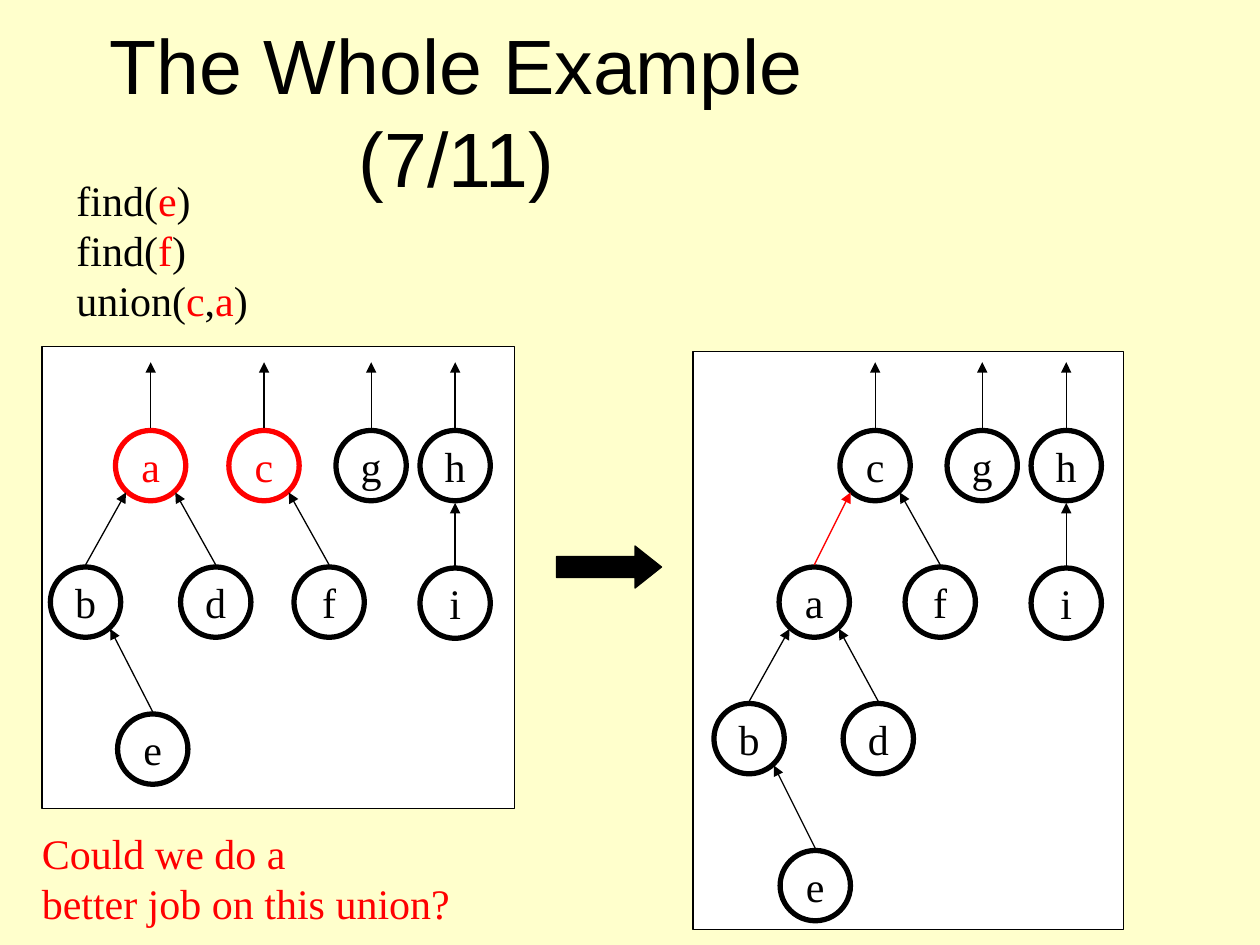
import pptx
import pptx.util
import pptx.dml.color
import pptx.enum.shapes
import pptx.enum.text
import pptx.oxml.ns
import lxml.etree

presentation = pptx.Presentation()
presentation.slide_width = pptx.util.Inches(10)
presentation.slide_height = pptx.util.Inches(7.5)
slide = presentation.slides.add_slide(presentation.slide_layouts[5])

# Grid of 120 columns by 90 rows
COLUMN = presentation.slide_width / 120
ROW = presentation.slide_height / 90
BLACK, RED, WHITE, CREAM = "000000", "FF0000", "FFFFFF", "FFFFCC"
NODE_SIZE = 6.7
color = pptx.dml.color.RGBColor.from_string
SHAPES = pptx.enum.shapes.MSO_SHAPE
CENTER = pptx.enum.text.PP_ALIGN.CENTER
MIDDLE = pptx.enum.text.MSO_ANCHOR.MIDDLE
AUTO_SIZE = pptx.enum.text.MSO_AUTO_SIZE


def place(*grid):
    """Turn alternating columns and rows into slide lengths."""
    return [round(value * (ROW if index % 2 else COLUMN)) for index, value in enumerate(grid)]


def add_run(paragraph, text, text_color, name="Times New Roman", size=24):
    run = paragraph.add_run()
    run.text = text
    font_format = {"name": name, "size": pptx.util.Pt(size)}
    for attribute, value in font_format.items():
        setattr(run.font, attribute, value)
    run.font.color.rgb = color(text_color)


slide.background.fill.solid()
slide.background.fill.fore_color.rgb = color(CREAM)

# Title
title = slide.shapes.title
for attribute, value in zip(("left", "top", "width", "height"), place(1, 3, 85, 15)):
    setattr(title, attribute, value)
title_format = {"vertical_anchor": MIDDLE, "word_wrap": True, "auto_size": AUTO_SIZE.NONE}
for attribute, value in title_format.items():
    setattr(title.text_frame, attribute, value)
title.text_frame.paragraphs[0].alignment = CENTER
add_run(title.text_frame.paragraphs[0], "The Whole Example (7/11)", BLACK, "Arial", 44)

# Operations and closing question
text_blocks = [
    ((6.1, 16, 18.7, 15.6), [
        [("find(", BLACK), ("e", RED), (")", BLACK)],
        [("find(", BLACK), ("f", RED), (")", BLACK)],
        [("union(", BLACK), ("c", RED), (",", BLACK), ("a", RED), (")", BLACK)],
    ]),
    ((2.8, 78.2, 41.3, 10.8), [
        [("Could we do a", RED)],
        [("better job on this union?", RED)],
    ]),
]
for grid, lines in text_blocks:
    text_frame = slide.shapes.add_textbox(*place(*grid)).text_frame
    text_frame.word_wrap = False
    text_frame.auto_size = AUTO_SIZE.SHAPE_TO_FIT_TEXT
    for index, line in enumerate(lines):
        paragraph = text_frame.add_paragraph() if index else text_frame.paragraphs[0]
        for text, text_color in line:
            add_run(paragraph, text, text_color)

# Panels and the arrow between them
for kind, grid, fill_color in [
    (SHAPES.RECTANGLE, (4, 33, 45, 44), WHITE),
    (SHAPES.RIGHT_ARROW, (53, 52, 10, 4), BLACK),
    (SHAPES.RECTANGLE, (66, 33.5, 41, 55), WHITE),
]:
    shape = slide.shapes.add_shape(kind, *place(*grid))
    shape.shadow.inherit = False
    shape.fill.solid()
    shape.fill.fore_color.rgb = color(fill_color)
    shape.line.color.rgb = color(BLACK)
    shape.line.width = pptx.util.Pt(0.75)
    if kind == SHAPES.RIGHT_ARROW:
        shape.adjustments[1] = 0.63

# Forests: node -> (column, row, parent, node colour, link colour)
before_union = {
    "a": (11, 41, None, RED, BLACK),
    "c": (21.8, 41, None, RED, BLACK),
    "g": (32, 41, None, BLACK, BLACK),
    "h": (40, 41, None, BLACK, BLACK),
    "b": (4.8, 54, "a", BLACK, BLACK),
    "d": (17.2, 54, "a", BLACK, BLACK),
    "f": (28, 54, "c", BLACK, BLACK),
    "i": (40, 54.1, "h", BLACK, BLACK),
    "e": (11.2, 68, "b", BLACK, BLACK),
}
after_union = {
    "c": (80, 41, None, BLACK, BLACK),
    "g": (90.2, 41, None, BLACK, BLACK),
    "h": (98.2, 41, None, BLACK, BLACK),
    "a": (74.2, 54, "c", BLACK, RED),
    "f": (86.2, 54, "c", BLACK, BLACK),
    "i": (98.2, 54.1, "h", BLACK, BLACK),
    "b": (68, 67, "a", BLACK, BLACK),
    "d": (80.3, 67, "a", BLACK, BLACK),
    "e": (74.3, 81, "b", BLACK, BLACK),
}
for forest in (before_union, after_union):
    for label, (column, row, parent, node_color, link_color) in forest.items():
        node = slide.shapes.add_shape(SHAPES.OVAL, *place(column, row, NODE_SIZE, NODE_SIZE))
        node.shadow.inherit = False
        node.fill.background()
        node.line.color.rgb = color(node_color)
        node.line.width = pptx.util.Pt(3)
        node.text_frame.word_wrap = False
        node.text_frame.vertical_anchor = MIDDLE
        node.text_frame.paragraphs[0].alignment = CENTER
        add_run(node.text_frame.paragraphs[0], label, node_color)

        # Link to the parent's near side, or straight up from a root
        center = column + NODE_SIZE / 2
        if parent is None:
            target = (center, 34.5)
        else:
            parent_column, parent_row = forest[parent][:2]
            if column == parent_column:
                target = (center, parent_row + NODE_SIZE + 0.2)
            else:
                side = 1 if column < parent_column else NODE_SIZE - 1
                target = (parent_column + side, parent_row + 5.9)
        link = slide.shapes.add_connector(
            pptx.enum.shapes.MSO_CONNECTOR.STRAIGHT, *place(center, row - 0.2, *target))
        link.line.color.rgb = color(link_color)
        link.line.width = pptx.util.Pt(0.75)
        lxml.etree.SubElement(
            link.line._get_or_add_ln(), pptx.oxml.ns.qn("a:tailEnd"), type="triangle")
        lxml.etree.SubElement(link._element.spPr, pptx.oxml.ns.qn("a:effectLst"))

presentation.save("out.pptx")
